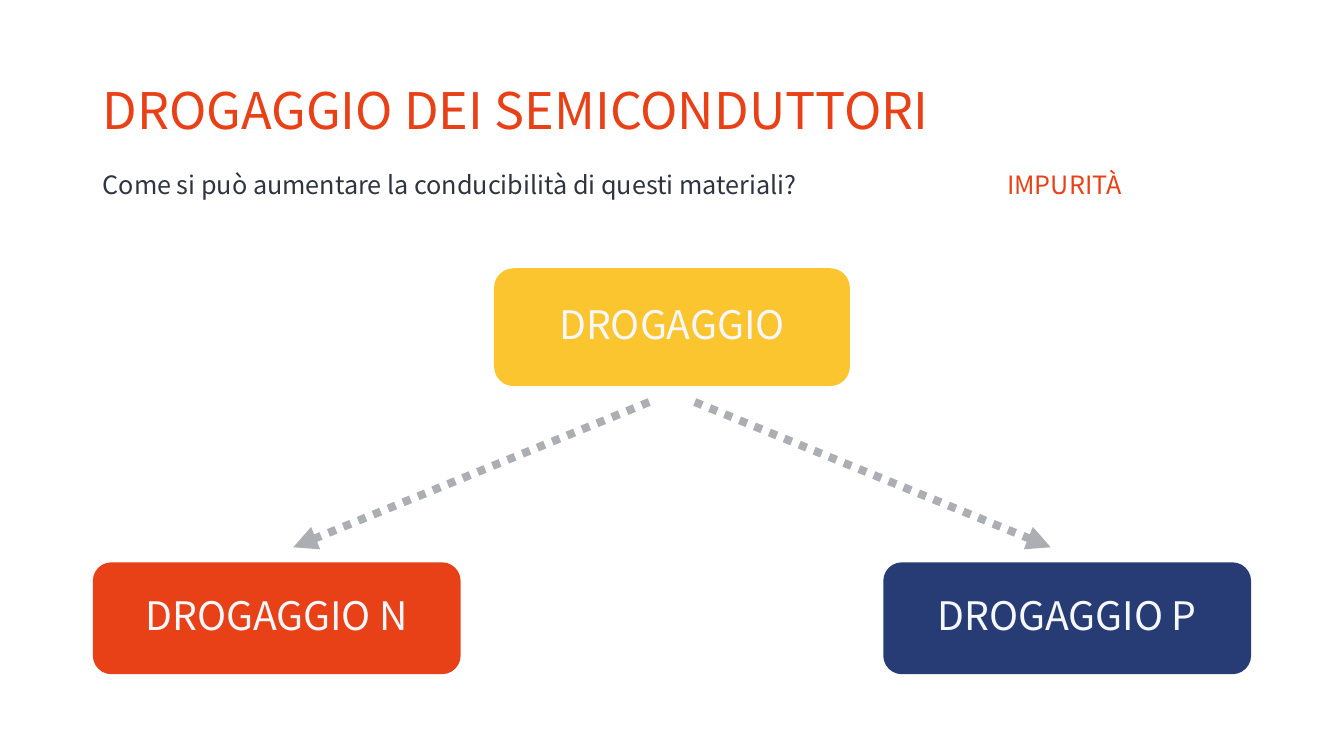
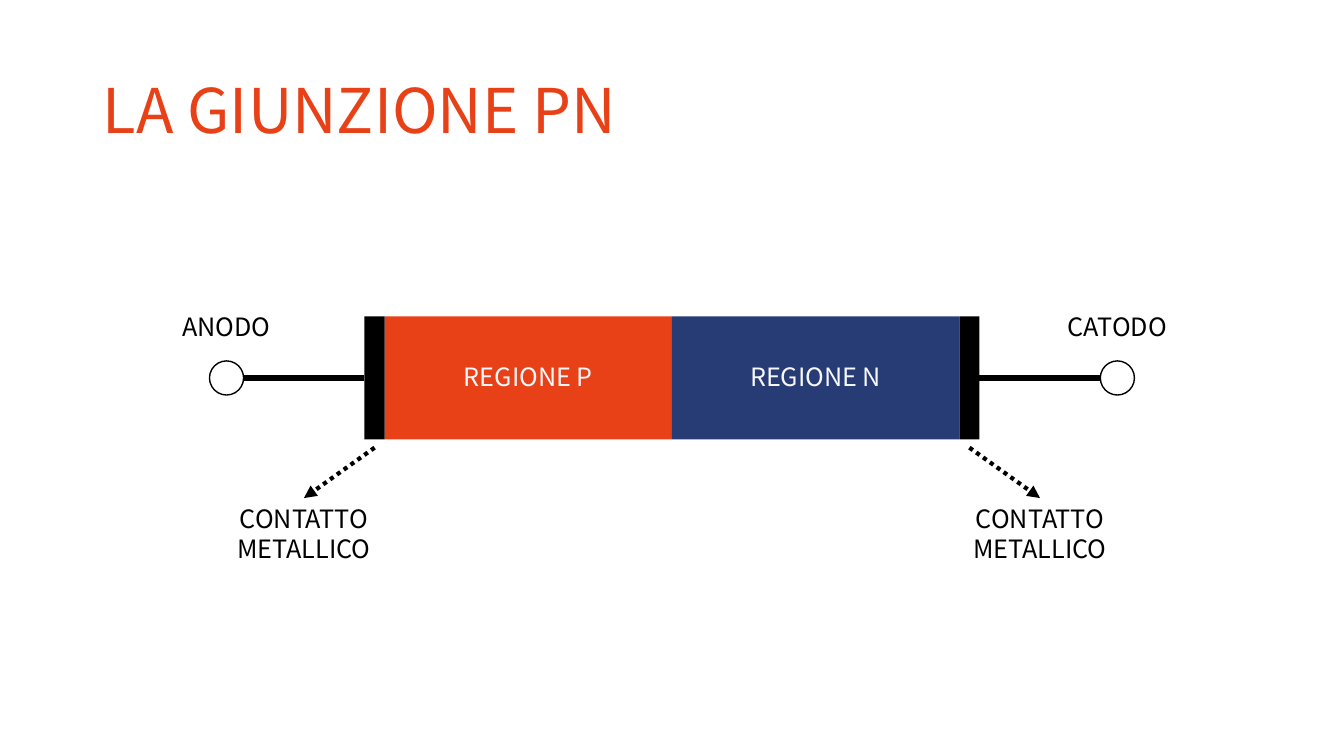
from dataclasses import dataclass
from typing import Optional

from lxml.etree import SubElement
from pptx import Presentation
from pptx.dml.color import RGBColor
from pptx.enum.dml import MSO_LINE
from pptx.enum.shapes import MSO_CONNECTOR, MSO_SHAPE
from pptx.enum.text import MSO_ANCHOR as Anchor, PP_ALIGN as Align
from pptx.oxml.ns import qn
from pptx.shapes.autoshape import Shape
from pptx.shapes.connector import Connector
from pptx.slide import Slide
from pptx.util import Cm, Pt


@dataclass(frozen=True)
class Theme:
    font: str = "Noto Sans CJK JP"
    red: str = "E94117"
    blue: str = "273C75"
    yellow: str = "FBC530"
    dark: str = "2F3540"
    light: str = "F5F7FA"
    black: str = "000000"
    white: str = "FFFFFF"
    title: int = 44
    long_title: int = 36
    box: int = 28
    body: int = 18


@dataclass(frozen=True)
class Area:
    x: float
    y: float
    w: float
    h: float

    def mirrored(self) -> "Area":
        return Area(WIDTH - self.x - self.w, self.y, self.w, self.h)

    def lengths(self) -> tuple:
        return Cm(self.x), Cm(self.y), Cm(self.w), Cm(self.h)


@dataclass(frozen=True)
class TextStyle:
    size: int
    color: str
    align: Align = Align.CENTER
    spacing: float = 0.9
    before: int = 10
    wrap: bool = True


@dataclass(frozen=True)
class LineStyle:
    color: str
    width: float
    arrow: bool = False
    alpha: Optional[int] = None


@dataclass(frozen=True)
class Segment:
    x1: float
    y1: float
    x2: float
    y2: float

    def mirrored(self) -> "Segment":
        return Segment(WIDTH - self.x1, self.y1, WIDTH - self.x2, self.y2)


@dataclass(frozen=True)
class Side:
    region: str
    fill: str
    electrode: str
    contact_site: int
    right: bool

    def place(self, item):
        return item.mirrored() if self.right else item


WIDTH, HEIGHT = 33.87, 19.05
MARGIN = 2.34
T = Theme()
BOX_TEXT = TextStyle(T.box, T.light)
REGION_TEXT = TextStyle(T.body, T.light)
LABEL_TEXT = TextStyle(T.body, T.black, spacing=1, before=0, wrap=False)
BRANCH = LineStyle(T.dark, 5.75, arrow=True, alpha=40)
POINTER = LineStyle(T.black, 3, arrow=True)
WIRE = LineStyle(T.black, 5)


def rgb(color: str) -> RGBColor:
    return RGBColor.from_string(color)


def write(sp: Shape, text: str, style: TextStyle) -> None:
    tf = sp.text_frame
    tf.text = text
    tf.word_wrap = style.wrap
    tf.vertical_anchor = Anchor.MIDDLE
    for p in tf.paragraphs:
        p.alignment = style.align
        p.line_spacing = style.spacing
        p.space_before = Pt(style.before)
        for r in p.runs:
            r.font.name = T.font
            r.font.size = Pt(style.size)
            r.font.color.rgb = rgb(style.color)


def add_text(s: Slide, area: Area, text: str, style: TextStyle) -> None:
    write(s.shapes.add_textbox(*area.lengths()), text, style)


def add_title(s: Slide, text: str, size: int) -> None:
    area = Area(MARGIN, 1.02, WIDTH - 2 * MARGIN, 3.68)
    add_text(s, area, text, TextStyle(size, T.red, Align.LEFT, before=0))


def add_shape(s: Slide, kind: MSO_SHAPE, area: Area, fill: str,
              outline: Optional[str] = None) -> Shape:
    sp = s.shapes.add_shape(kind, *area.lengths())
    sp.shadow.inherit = False
    sp.fill.solid()
    sp.fill.fore_color.rgb = rgb(fill)
    if outline:
        sp.line.color.rgb = rgb(outline)
        sp.line.width = Pt(1)
    else:
        sp.line.fill.background()
    return sp


def add_line(s: Slide, seg: Segment, style: LineStyle) -> Connector:
    c = s.shapes.add_connector(MSO_CONNECTOR.STRAIGHT, Cm(seg.x1), Cm(seg.y1),
                               Cm(seg.x2), Cm(seg.y2))
    c.line.color.rgb = rgb(style.color)
    c.line.width = Pt(style.width)
    sppr = c.element.spPr
    ln = sppr.find(qn("a:ln"))
    if style.alpha:
        color = ln.find(".//" + qn("a:srgbClr"))
        SubElement(color, qn("a:alpha"), val=str(style.alpha * 1000))
    if style.arrow:
        c.line.dash_style = MSO_LINE.ROUND_DOT
        SubElement(ln, qn("a:tailEnd"), type="triangle")
    SubElement(sppr, qn("a:effectLst"))
    return c


def build_doping(s: Slide) -> None:
    add_text(s, Area(MARGIN, 4.09, 24.97, 1.22),
             "Come si può aumentare la conducibilità di questi materiali?",
             TextStyle(T.body, T.dark, Align.LEFT))
    add_title(s, "DROGAGGIO DEI SEMICONDUTTORI", T.long_title)
    add_text(s, Area(24.36, 4.09, 4.93, 1.22), "IMPURITÀ",
             TextStyle(T.body, T.red))
    root_w = 8.97
    root = Area((WIDTH - root_w) / 2, 6.76, root_w, 2.97)
    leaf = Area(MARGIN, 14.17, 9.27, 2.82)
    for text, area, fill in (
        ("DROGAGGIO", root, T.yellow),
        ("DROGAGGIO P", leaf.mirrored(), T.blue),
        ("DROGAGGIO N", leaf, T.red),
    ):
        sp = add_shape(s, MSO_SHAPE.ROUNDED_RECTANGLE, area, fill)
        write(sp, text, BOX_TEXT)
    branch = Segment(16.36, 10.13, 7.39, 13.79)
    for seg in (branch, branch.mirrored()):
        add_line(s, seg, BRANCH)


def build_junction(s: Slide) -> None:
    add_title(s, "LA GIUNZIONE PN", T.title)
    bar_h, region_w, contact_w, dot = 3.1, 7.24, 0.51, 0.86
    middle = HEIGHT / 2
    top = middle - bar_h / 2
    region = Area(WIDTH / 2 - region_w, top, region_w, bar_h)
    contact = Area(region.x - contact_w, top, contact_w, bar_h)
    terminal = Area(5.28, middle - dot / 2, dot, dot)
    wire = Segment(terminal.x + dot, middle, contact.x, middle)
    pointer = Segment(contact.x + contact_w / 2, 11.28, 7.66, 12.55)
    label_w, note_w = 3.4, 4.34
    label = Area(terminal.x + (dot - label_w) / 2, 7.72, label_w, 1.02)
    note = Area(pointer.x2 - note_w / 2, pointer.y2, note_w, 1.8)

    for side in (
        Side("REGIONE P", T.red, "ANODO", 1, False),
        Side("REGIONE N", T.blue, "CATODO", 3, True),
    ):
        sp = add_shape(s, MSO_SHAPE.RECTANGLE, side.place(region), side.fill)
        write(sp, side.region, REGION_TEXT)
        plate = add_shape(s, MSO_SHAPE.RECTANGLE, side.place(contact), T.black)
        lead = add_line(s, side.place(wire), WIRE)
        lead.end_connect(plate, side.contact_site)
        add_shape(s, MSO_SHAPE.OVAL, side.place(terminal), T.white, T.black)
        add_text(s, side.place(note), "CONTATTO\nMETALLICO", LABEL_TEXT)
        add_text(s, side.place(label), side.electrode, LABEL_TEXT)
        add_line(s, side.place(pointer), POINTER)


def main() -> None:
    prs = Presentation()
    prs.slide_width, prs.slide_height = Cm(WIDTH), Cm(HEIGHT)
    blank = prs.slide_layouts[6]
    for build in (build_doping, build_junction):
        build(prs.slides.add_slide(blank))
    prs.save("out.pptx")


if __name__ == "__main__":
    main()
